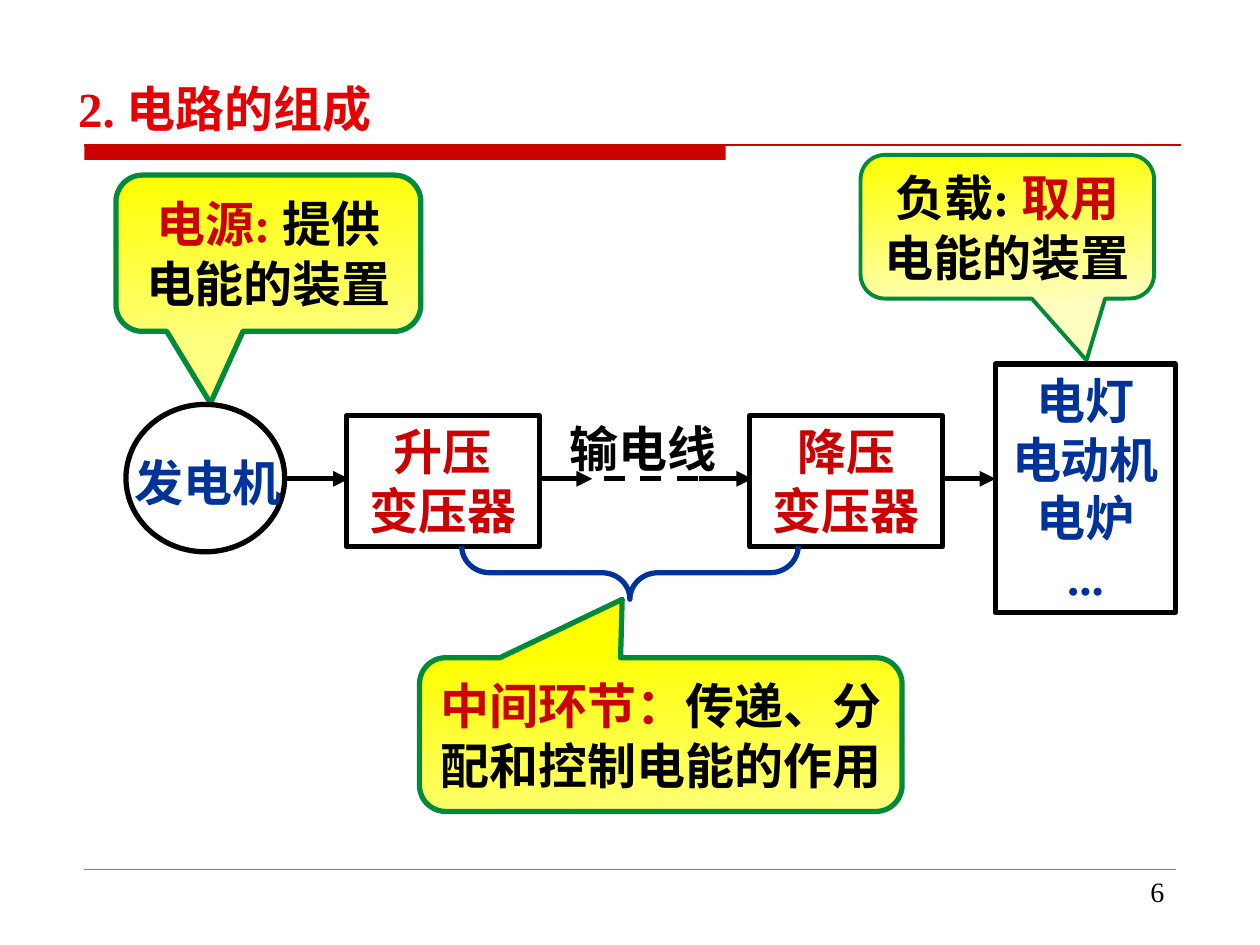
from lxml.etree import SubElement
from pptx import Presentation
from pptx.dml.color import RGBColor
from pptx.enum.dml import MSO_LINE
from pptx.enum.shapes import MSO_CONNECTOR, MSO_SHAPE
from pptx.enum.text import MSO_ANCHOR, PP_ALIGN
from pptx.oxml.ns import qn
from pptx.util import Inches, Pt

COLUMNS, ROWS = 100, 75
SLIDE_WIDTH, SLIDE_HEIGHT = Inches(10), Inches(7.5)
RED, BLUE, BLACK, GREEN = "CC0000", "003399", "000000", "008A3A"
WIRE_ROW = 38


def color(hex_value):
    """Turn a hex string into a colour."""
    return RGBColor.from_string(hex_value)


def grid(*cells):
    """Convert alternating column and row counts into lengths."""
    units = (SLIDE_WIDTH / COLUMNS, SLIDE_HEIGHT / ROWS)
    return [round(cell * units[index % 2]) for index, cell in enumerate(cells)]


def write(shape, lines, align=PP_ALIGN.CENTER, size=28, bold=True, wrap=True, space=0):
    """Write lines, each a list of (text, colour) runs, into a shape."""
    frame = shape.text_frame
    frame.word_wrap = wrap
    for index, runs in enumerate(lines):
        paragraph = frame.paragraphs[0] if index == 0 else frame.add_paragraph()
        paragraph.alignment = align
        if index and space:
            paragraph.space_before = Pt(space)
        paragraph.font.name = "Times New Roman"
        paragraph.font.size = Pt(size)
        paragraph.font.bold = bold
        for text, hex_value in runs:
            run = paragraph.add_run()
            run.text = text
            run.font.color.rgb = color(hex_value)
    return frame


def add_label(slide, box, text, hex_value, **style):
    """Add a one-line text box."""
    label = slide.shapes.add_textbox(*grid(*box))
    return write(label, [[(text, hex_value)]], **style)


def add_part_label(slide, box, text, hex_value):
    """Add a centred label that uses the full width of its box."""
    frame = add_label(slide, box, text, hex_value, wrap=False)
    frame.margin_left = frame.margin_right = 0


def add_outline(slide, kind, box, hex_value=BLACK, width=3):
    """Add an unfilled preset shape with a coloured outline."""
    shape = slide.shapes.add_shape(kind, *grid(*box))
    shape.shadow.inherit = False
    shape.fill.background()
    shape.line.color.rgb = color(hex_value)
    shape.line.width = Pt(width)
    return shape


def add_block(slide, box, lines, hex_value):
    """Add a rectangular circuit part with its name."""
    block = add_outline(slide, MSO_SHAPE.RECTANGLE, box)
    frame = write(block, [[(line, hex_value)] for line in lines])
    frame.vertical_anchor = MSO_ANCHOR.TOP


def add_callout(slide, box, tip, lines, end_color="FFFF80", width=3):
    """Add a yellow gradient callout whose tip is a share of its size."""
    callout = add_outline(slide, MSO_SHAPE.ROUNDED_RECTANGULAR_CALLOUT, box, GREEN, width)
    for index, value in enumerate((*tip, 0.17)):
        callout.adjustments[index] = value
    callout.fill.gradient()
    callout.fill.gradient_angle = 274
    for stop, hex_value in zip(callout.fill.gradient_stops, ("FFFF00", end_color)):
        stop.color.rgb = color(hex_value)
    frame = write(callout, lines, wrap=False, space=0.6)
    frame.vertical_anchor = MSO_ANCHOR.MIDDLE


def add_line(slide, start, end, row, hex_value=BLACK, width=3, arrow=False, dashed=False):
    """Add a horizontal line, with an arrowhead or dashes if asked."""
    connector = slide.shapes.add_connector(
        MSO_CONNECTOR.STRAIGHT, *grid(start, row, end, row))
    connector.line.color.rgb = color(hex_value)
    connector.line.width = Pt(width)
    if dashed:
        connector.line.dash_style = MSO_LINE.DASH
    properties = connector.element.spPr
    if arrow:
        SubElement(properties.find(qn("a:ln")), qn("a:tailEnd"), type="triangle")
    SubElement(properties, qn("a:effectLst"))


def add_frame(slide):
    """Add the header bar, footer rule, page number and title."""
    bar = slide.shapes.add_shape(MSO_SHAPE.RECTANGLE, *grid(6.7, 11.5, 50.9, 1.2))
    bar.shadow.inherit = False
    bar.fill.solid()
    bar.fill.fore_color.rgb = color(RED)
    bar.line.fill.background()
    add_line(slide, 6.7, 93.7, 11.5, RED, 0.75)
    add_line(slide, 6.7, 93.3, 69, "808080", 0.25)
    add_label(slide, (71.7, 68.9, 21.7, 5.2), "6", BLACK,
              align=PP_ALIGN.RIGHT, size=16, bold=False)
    title = add_label(slide, (5.7, 5.3, 84, 5.6), "2. 电路的组成", "E60000",
                      align=PP_ALIGN.LEFT)
    title.margin_left, title.margin_top = grid(0.5, 0.9)
    title.margin_right = title.margin_bottom = 0


def add_circuit(slide):
    """Add the chain from generator to loads."""
    add_outline(slide, MSO_SHAPE.OVAL, (10, 32.1, 12.6, 11.7))
    add_part_label(slide, (9.7, 35.4, 13.6, 5.7), "发电机", BLUE)
    for left, name in ((27.5, "升压"), (59.5, "降压")):
        add_block(slide, (left, 33, 15.3, 10.4), [name, "变压器"], RED)
    add_block(slide, (79, 28.9, 14.3, 19.7), ["电灯", "电动机电炉", "..."], BLUE)
    for start, end in ((22.6, 27.7), (42.8, 47), (55.5, 59.7), (74.8, 79)):
        add_line(slide, start, end, WIRE_ROW, arrow=True)
    add_line(slide, 47.9, 55.5, WIRE_ROW, dashed=True)
    add_part_label(slide, (44.2, 32.7, 13.6, 5.7), "输电线", BLACK)
    brace = add_outline(slide, MSO_SHAPE.LEFT_BRACE, (47.9, 32.1, 4.2, 26.7), BLUE)
    brace.rotation = 270
    brace.adjustments[0] = 0.53


def main():
    """Build the slide and save it."""
    presentation = Presentation()
    presentation.slide_width, presentation.slide_height = SLIDE_WIDTH, SLIDE_HEIGHT
    slide = presentation.slides.add_slide(presentation.slide_layouts[6])
    add_frame(slide)
    add_callout(slide, (9.2, 13.9, 24.2, 12.4), (-0.19, 0.96),
                [[("电源: ", RED), ("提供", BLACK)], [("电能的装置", BLACK)]])
    add_callout(slide, (68.3, 12.3, 23.3, 11.4), (0.27, 0.93),
                [[("负载: ", BLACK), ("取用", RED)], [("电能的装置", BLACK)]],
                "FFFFC0", 2.25)
    add_callout(slide, (33.3, 52.2, 38.3, 12.2), (-0.08, -0.88),
                [[("中间环节：", RED), ("传递、分", BLACK)],
                 [("配和控制电能的作用", BLACK)]])
    add_circuit(slide)
    presentation.save("out.pptx")


if __name__ == "__main__":
    main()
